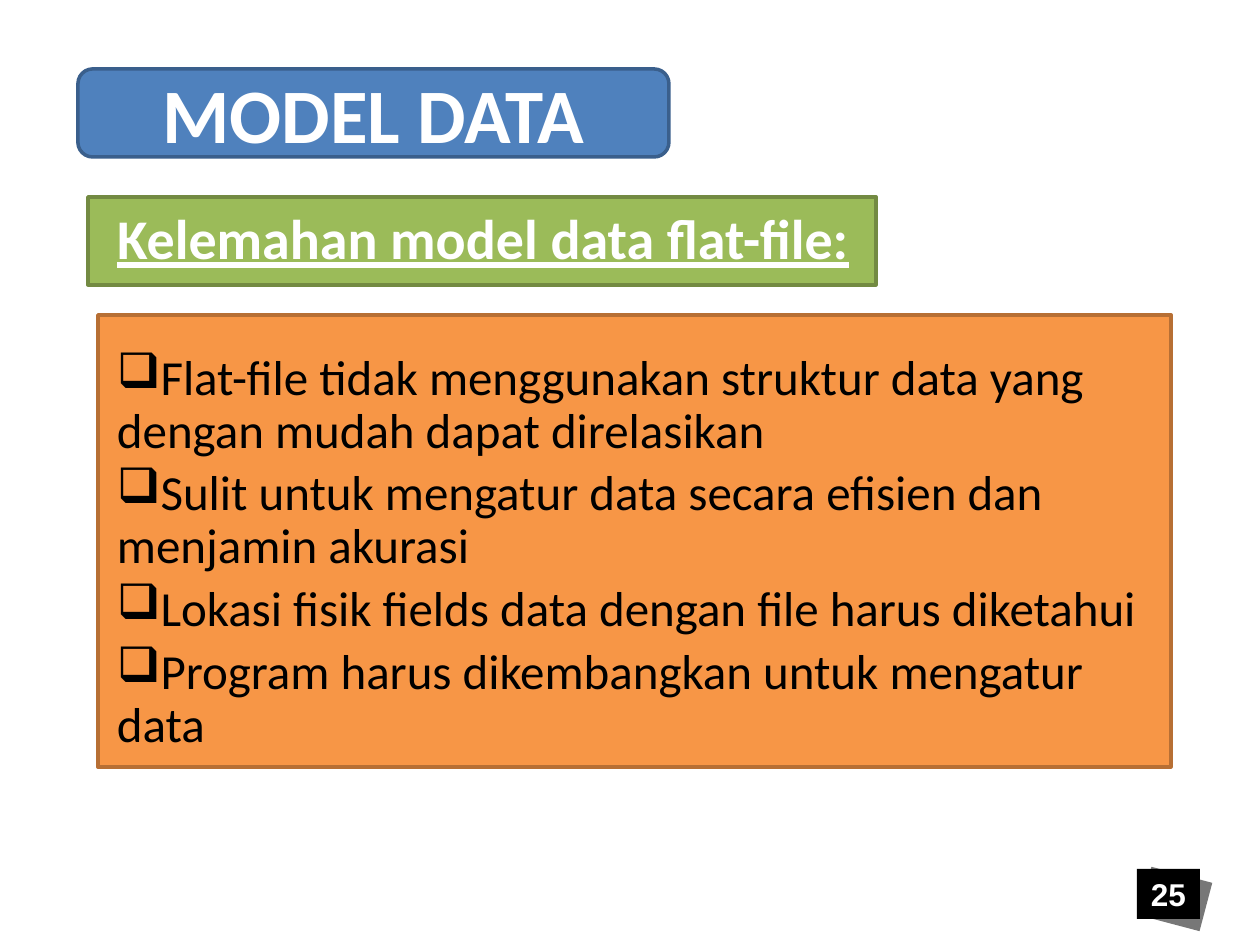
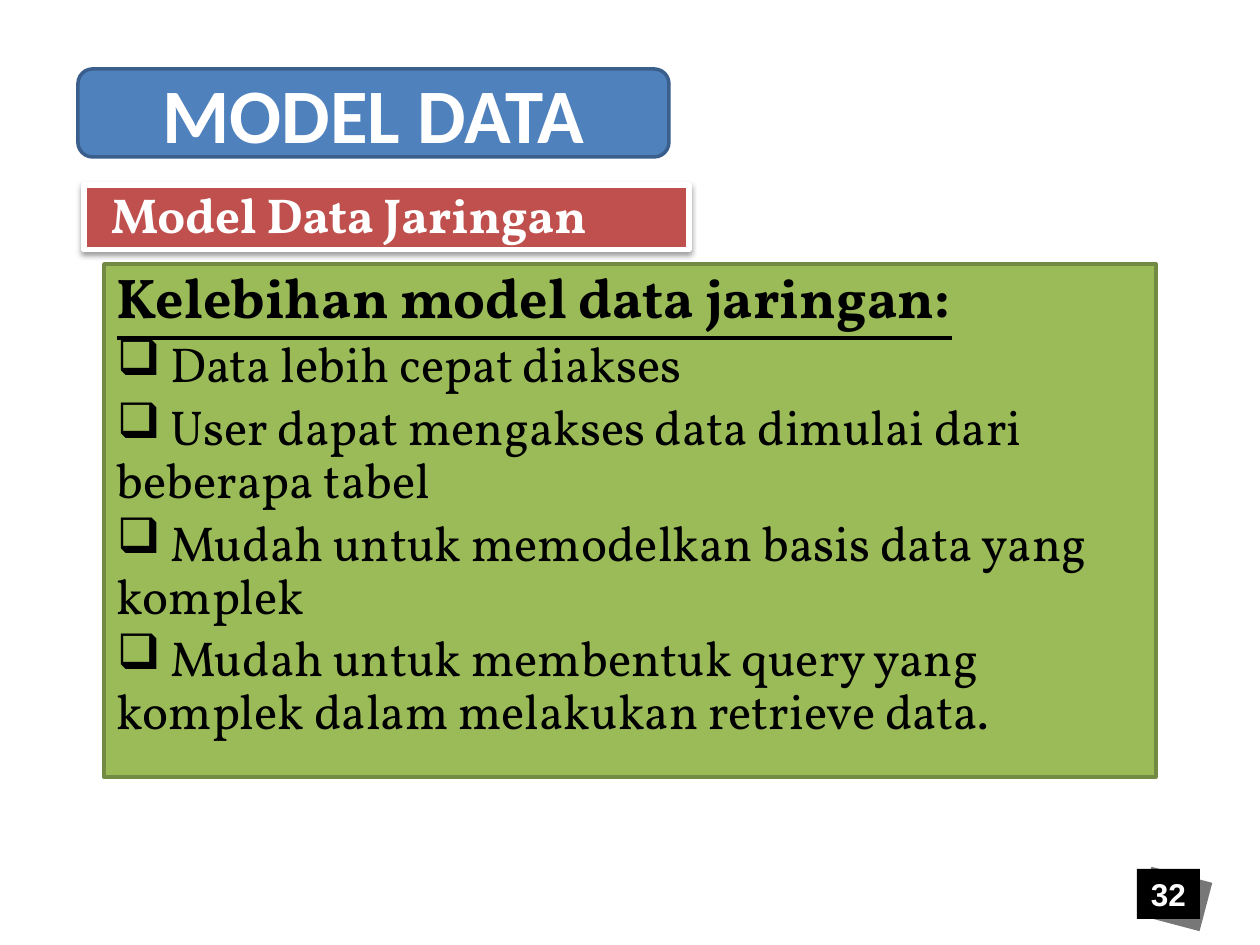
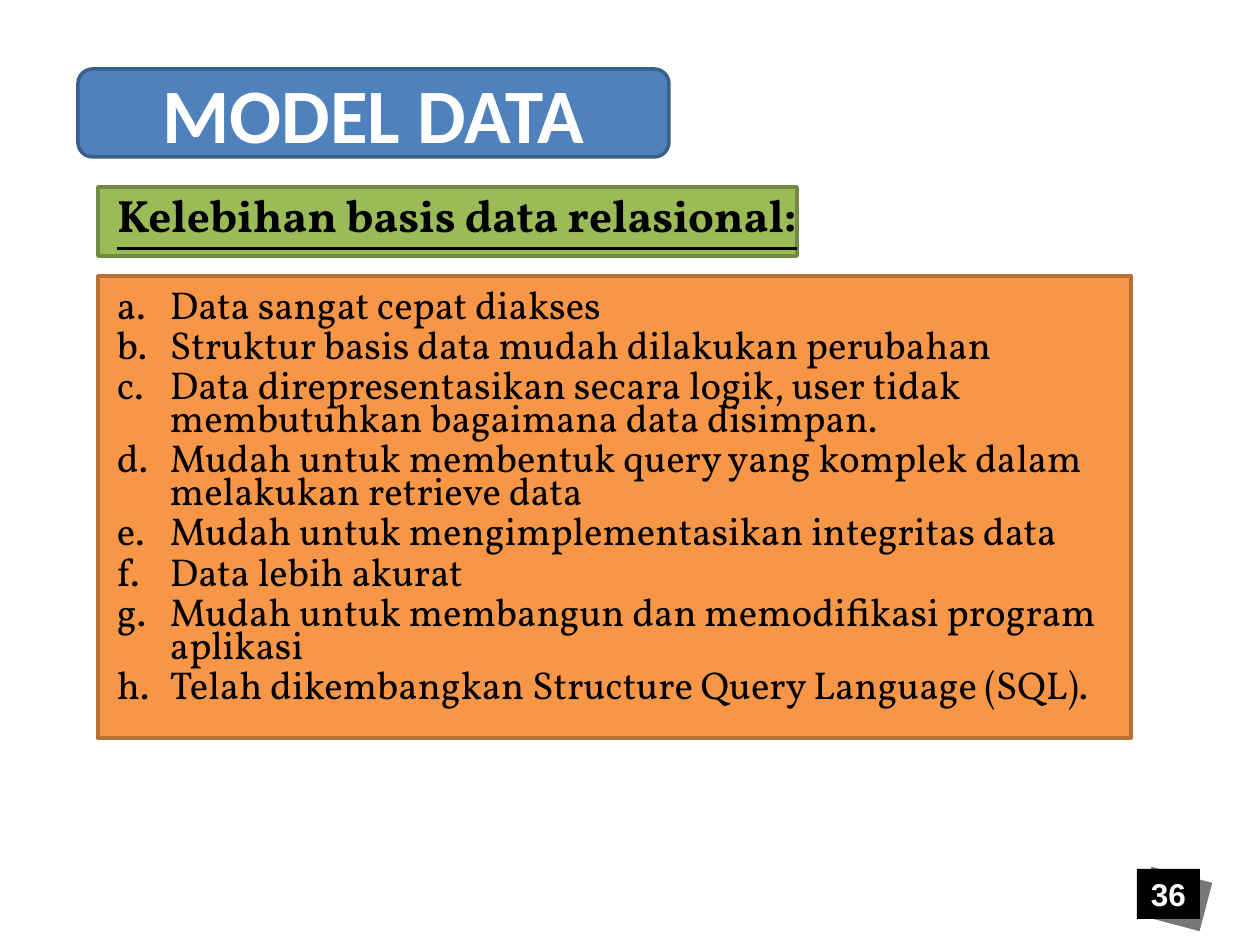
import pptx
import pptx.dml.color
import pptx.enum.shapes
import pptx.enum.text
import pptx.util
from lxml import etree
from pptx.oxml.ns import qn

PX = 914400 // 126
SHAPE = pptx.enum.shapes.MSO_SHAPE
ALIGN = pptx.enum.text.PP_ALIGN
ANCHOR = pptx.enum.text.MSO_ANCHOR

WHITE, BLACK, GREY = "FFFFFF", "000000", "777777"
BLUE, GREEN, ORANGE, RED = "4F81BD", "9BBB59", "F79646", "C0504D"
OUTLINE = {BLUE: "3A5F8C", GREEN: "738A42", ORANGE: "B76F34", RED: WHITE}
SANS, SERIF, BADGE_FONT = "Calibri", "Vollkorn", "Arial"
CHECKBOX = ("a:buChar", {"char": "❑"})
LETTERS = ("a:buAutoNum", {"type": "alphaLcPeriod"})


def color(hex_code):
    return pptx.dml.color.RGBColor.from_string(hex_code)


def add_panel(slide, box, fill, kind=SHAPE.RECTANGLE, line_width=2):
    """Add a filled shape; its outline colour follows from its fill."""
    panel = slide.shapes.add_shape(kind, *(length * PX for length in box))
    panel.shadow.inherit = False
    panel.fill.solid()
    panel.fill.fore_color.rgb = color(fill)
    if fill in OUTLINE:
        panel.line.color.rgb = color(OUTLINE[fill])
        panel.line.width = pptx.util.Pt(line_width)
    else:
        panel.line.fill.background()
    return panel


def set_frame(panel, left=13, top=6, right=13, anchor=ANCHOR.TOP, wrap=True):
    frame = panel.text_frame
    frame.margin_left, frame.margin_top, frame.margin_right = left * PX, top * PX, right * PX
    frame.vertical_anchor = anchor
    frame.word_wrap = wrap


def write(panel, text, size, font=SANS, ink=BLACK, bold=False, underline=False,
          align=ALIGN.LEFT, spacing=1.0, bullet=None, hanging=0):
    """Append a paragraph, with a gap of 20% of its size above all but the first."""
    frame = panel.text_frame
    first = not frame.paragraphs[0].runs
    paragraph = frame.paragraphs[0] if first else frame.add_paragraph()
    paragraph.alignment = align
    paragraph.line_spacing = spacing
    paragraph.space_before = pptx.util.Pt(0 if first else round(size * 0.2, 1))
    if bullet:
        tag, attributes = bullet
        properties = paragraph._p.get_or_add_pPr()
        properties.set("marL", str(hanging * PX))
        properties.set("indent", str(-hanging * PX))
        etree.SubElement(properties, qn(tag), attributes)
    run = paragraph.add_run()
    run.text = text
    run.font.size = pptx.util.Pt(size)
    run.font.name = font
    run.font.color.rgb = color(ink)
    run.font.bold = bold
    run.font.underline = underline


def write_list(panel, items, **style):
    for item in items:
        write(panel, item, **style)


def cast_shadow(panel):
    effects = panel._element.spPr.find(qn("a:effectLst"))
    shadow = etree.SubElement(effects, qn("a:outerShdw"), {
        "blurRad": str(pptx.util.Pt(3.1)), "dist": str(pptx.util.Pt(1.6)),
        "dir": "5400000", "rotWithShape": "0"})
    shade = etree.SubElement(shadow, qn("a:srgbClr"), {"val": BLACK})
    etree.SubElement(shade, qn("a:alpha"), {"val": "38000"})


def add_title(slide):
    title = add_panel(slide, (78, 69, 591, 88), BLUE, SHAPE.ROUNDED_RECTANGLE)
    set_frame(title, anchor=ANCHOR.MIDDLE)
    write(title, "MODEL DATA", 44, ink=WHITE, bold=True, align=ALIGN.CENTER)


def add_page_badge(slide, number, left=1137, top=869):
    backing = add_panel(slide, (left + 7, top + 5, 63, 50), GREY)
    backing.rotation = 14.8
    badge = add_panel(slide, (left, top, 63, 50), BLACK)
    set_frame(badge)
    write(badge, str(number), 18, font=BADGE_FONT, ink=WHITE, bold=True, align=ALIGN.CENTER)


def start_slide(deck, number):
    slide = deck.slides.add_slide(deck.slide_layouts[6])
    add_page_badge(slide, number)
    add_title(slide)
    return slide


def add_flat_file_slide(deck):
    slide = start_slide(deck, 25)
    weaknesses = add_panel(slide, (98, 315, 1073, 452), ORANGE)
    set_frame(weaknesses, left=19, top=38, right=7)
    write_list(weaknesses, [
        "Flat-file tidak menggunakan struktur data yang dengan mudah dapat direlasikan",
        "Sulit untuk mengatur data secara efisien dan menjamin akurasi",
        "Lokasi fisik fields data dengan file harus diketahui",
        "Program harus dikembangkan untuk mengatur data",
    ], size=28, spacing=0.9, bullet=CHECKBOX)
    heading = add_panel(slide, (88, 197, 788, 88), GREEN)
    set_frame(heading, left=29, top=14)
    write(heading, "Kelemahan model data flat-file:", 32, ink=WHITE, bold=True,
          underline=True, spacing=0.9)


def add_network_slide(deck):
    slide = start_slide(deck, 32)
    strengths = add_panel(slide, (104, 264, 1052, 513), GREEN)
    set_frame(strengths)
    write(strengths, "Kelebihan model data jaringan:", 32, font=SERIF, bold=True,
          underline=True, spacing=0.9)
    write_list(strengths, [
        " Data lebih cepat diakses",
        " User dapat mengakses data dimulai dari beberapa tabel",
        " Mudah untuk memodelkan basis data yang komplek",
        " Mudah untuk membentuk query yang komplek dalam melakukan retrieve data.",
    ], size=28, font=SERIF, spacing=0.9, bullet=CHECKBOX)
    heading = add_panel(slide, (84, 185, 605, 65), RED, line_width=3)
    cast_shadow(heading)
    set_frame(heading, left=27)
    write(heading, "Model Data Jaringan", 28, font=SERIF, ink=WHITE, bold=True, spacing=0.9)


def add_relational_slide(deck):
    slide = start_slide(deck, 36)
    strengths = add_panel(slide, (98, 276, 1033, 462), ORANGE)
    set_frame(strengths, left=19, top=17)
    write_list(strengths, [
        "Data sangat cepat diakses",
        "Struktur basis data mudah dilakukan perubahan",
        "Data direpresentasikan secara logik, user tidak membutuhkan bagaimana data disimpan.",
        "Mudah untuk membentuk query yang komplek dalam melakukan retrieve data",
        "Mudah untuk mengimplementasikan integritas data",
        "Data lebih akurat",
        "Mudah untuk membangun dan memodifikasi program aplikasi",
        "Telah dikembangkan Structure Query Language (SQL).",
    ], size=22.2, font=SERIF, spacing=0.7, bullet=LETTERS, hanging=53)
    heading = add_panel(slide, (98, 187, 699, 69), GREEN)
    set_frame(heading, left=19, top=15, right=0, wrap=False)
    write(heading, "Kelebihan basis data relasional:", 25.9, font=SERIF, bold=True,
          underline=True, spacing=0.7)


def main():
    deck = pptx.Presentation()
    deck.slide_width, deck.slide_height = 1260 * PX, 945 * PX
    add_flat_file_slide(deck)
    add_network_slide(deck)
    add_relational_slide(deck)
    deck.save("out.pptx")


if __name__ == "__main__":
    main()
